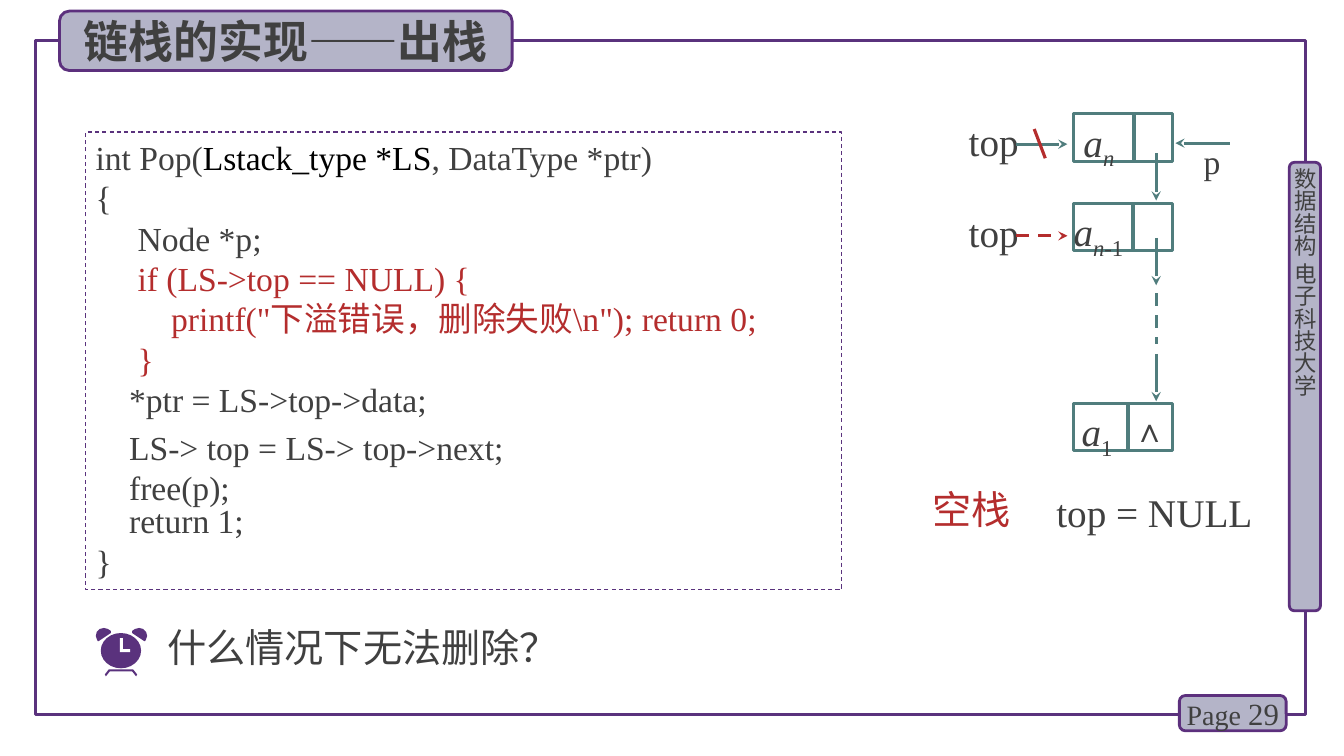
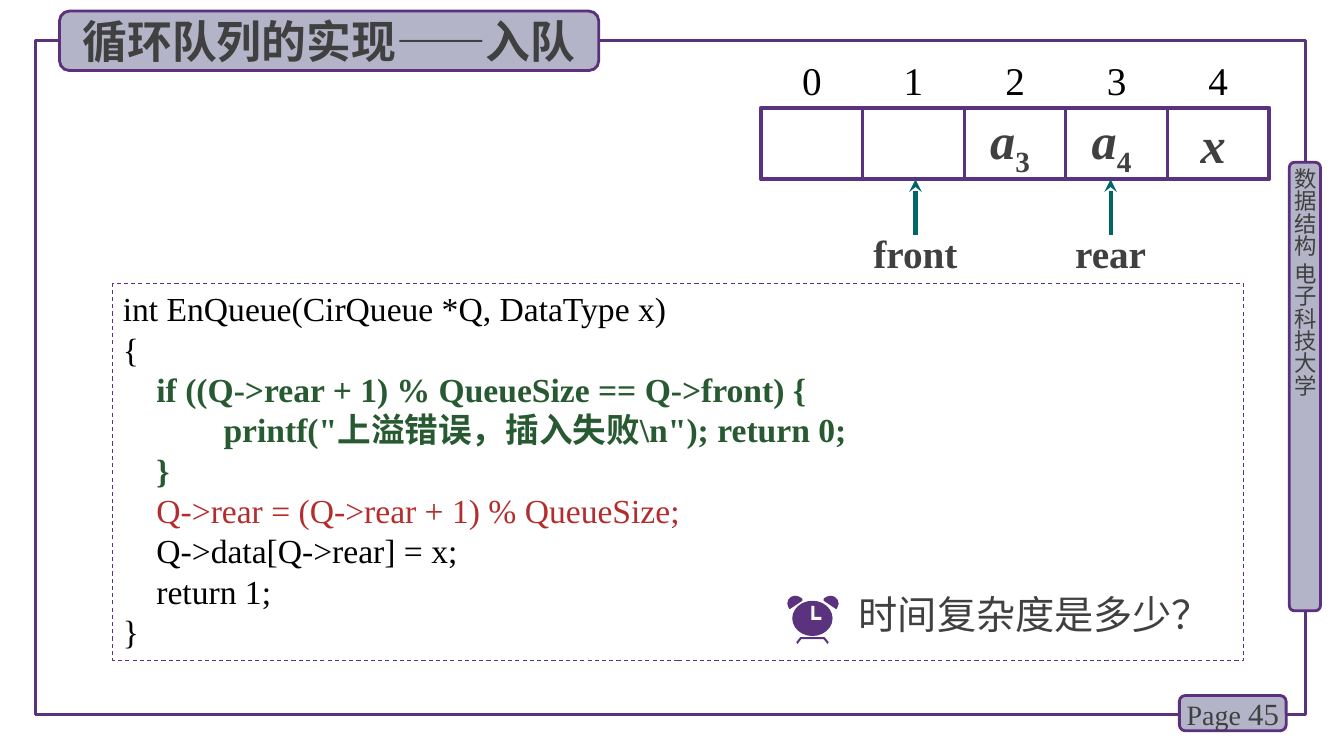
from dataclasses import dataclass

from lxml.etree import SubElement
from pptx import Presentation
from pptx.dml.color import RGBColor
from pptx.enum.dml import MSO_LINE
from pptx.enum.shapes import MSO_CONNECTOR, MSO_SHAPE
from pptx.enum.text import MSO_ANCHOR, PP_ALIGN
from pptx.oxml.ns import qn
from pptx.util import Inches, Pt


@dataclass(frozen=True)
class Theme:
    purple: str = "5A327D"
    badge_line: str = "5C307D"
    badge_fill: str = "B4B4C8"
    gray: str = "404040"
    black: str = "000000"
    white: str = "FFFFFF"
    red: str = "B42D2D"
    green: str = "285A32"
    teal: str = "507D7D"
    pointer: str = "006666"
    latin: str = "Times New Roman"
    asian: str = "Noto Sans CJK SC"
    title: int = 32
    value: int = 36
    label: int = 28
    code: int = 24
    number: int = 22
    footer: int = 20
    side: int = 16
    code_pitch: float = 28.8


THEME = Theme()
RED = {"color": THEME.red}
GREEN = {"color": THEME.green, "bold": True}
SUBSCRIPT = {"baseline": -25000}


def grid(units):
    return Inches(units / 10)


@dataclass(frozen=True)
class Box:
    left: float
    top: float
    width: float
    height: float

    def inside(self, left, top, width, height):
        return Box(self.left + left, self.top + top, width, height)

    def point(self, left, top):
        return self.left + left, self.top + top

    def lengths(self):
        return [grid(v) for v in (self.left, self.top, self.width, self.height)]


SLIDE = Box(0, 0, 133.33, 75)


def set_attributes(target, values):
    for name, value in values.items():
        setattr(target, name, value)


def set_outline(line, color, width, dash=None):
    line.color.rgb = RGBColor.from_string(color)
    set_attributes(line, {"width": Pt(width), "dash_style": dash})


def write_runs(paragraph, runs, base):
    for text, changes in runs:
        run = paragraph.add_run()
        run.text = text
        values = {"name": THEME.latin, "color": THEME.gray, **base, **changes}
        color = values.pop("color")
        baseline = values.pop("baseline", None)
        values["size"] = Pt(values["size"])
        run.font.color.rgb = RGBColor.from_string(color)
        set_attributes(run.font, values)
        properties = run.font._element
        SubElement(properties, qn("a:ea")).set("typeface", THEME.asian)
        if baseline:
            properties.set("baseline", str(baseline))


def fill_text(shape, runs, base, align=PP_ALIGN.LEFT, anchor=MSO_ANCHOR.TOP,
              margins=(0, 0), wrap=True):
    frame = shape.text_frame
    set_attributes(frame, {
        "word_wrap": wrap, "vertical_anchor": anchor,
        "margin_left": grid(margins[0]), "margin_top": grid(margins[1]),
        "margin_right": 0, "margin_bottom": 0,
    })
    frame.paragraphs[0].alignment = align
    write_runs(frame.paragraphs[0], runs, base)


def add_label(slide, box, runs, base, align=PP_ALIGN.LEFT, anchor=MSO_ANCHOR.TOP):
    fill_text(slide.shapes.add_textbox(*box.lengths()), runs, base, align, anchor)


def paint(shape, fill=None):
    shape.shadow.inherit = False
    if fill:
        shape.fill.solid()
        shape.fill.fore_color.rgb = RGBColor.from_string(fill)
    else:
        shape.fill.background()


def add_panel(slide, box, color, width, fill=None, kind=MSO_SHAPE.RECTANGLE, dash=None):
    shape = slide.shapes.add_shape(kind, *box.lengths())
    paint(shape, fill)
    set_outline(shape.line, color, width, dash)
    return shape


def add_badge(slide, box):
    return add_panel(slide, box, THEME.badge_line, 2, THEME.badge_fill,
                     MSO_SHAPE.ROUNDED_RECTANGLE)


def add_line(slide, start, end, color, width=2.25, dash=None, arrow=False):
    line = slide.shapes.add_connector(
        MSO_CONNECTOR.STRAIGHT, *[grid(v) for v in (*start, *end)])
    set_outline(line.line, color, width, dash)
    if arrow:
        SubElement(line.line._get_or_add_ln(), qn("a:tailEnd")).set("type", "stealth")
    SubElement(line._element.spPr, qn("a:effectLst"))


def draw_frame(slide, box, title, title_width, page):
    add_panel(slide, box.inside(3.5, 4, 126, 66.9), THEME.purple, 2.25)
    side = add_badge(slide, box.inside(127.9, 16.1, 3.1, 44.5))
    fill_text(side, [("数据结构 电子科技大学", {})], {"size": THEME.side},
              anchor=MSO_ANCHOR.MIDDLE, margins=(0, 0.4))
    side.text_frame._txBody.bodyPr.set("vert", "eaVert")
    centered = {"align": PP_ALIGN.CENTER, "anchor": MSO_ANCHOR.MIDDLE, "wrap": False}
    fill_text(add_badge(slide, box.inside(117, 69, 10.6, 3.5)),
              [("Page ", {}), (page, {"size": THEME.number})],
              {"size": THEME.footer}, **centered)
    fill_text(add_badge(slide, box.inside(5.9, 1.1, title_width, 5.9)),
              [(title, {})], {"size": THEME.title, "bold": True}, **centered)


def draw_code(slide, box, lines, color, line_color, pitches):
    panel = add_panel(slide, box, line_color, 0.75, dash=MSO_LINE.DASH)
    fill_text(panel, [], {}, margins=(1, 0.5))
    frame = panel.text_frame
    for index, runs in enumerate(lines):
        paragraph = frame.add_paragraph() if index else frame.paragraphs[0]
        set_attributes(paragraph, {
            "alignment": PP_ALIGN.LEFT,
            "line_spacing": Pt(pitches.get(index, THEME.code_pitch)),
        })
        write_runs(paragraph, runs, {"size": THEME.code, "color": color})


def add_outline_shape(slide, box, points, color):
    builder = slide.shapes.build_freeform(*points[0], scale=grid(0.1))
    builder.add_line_segments(points[1:], close=True)
    shape = builder.convert_to_shape(grid(box.left), grid(box.top))
    paint(shape, color)
    shape.line.fill.background()


def draw_clock(slide, box):
    ear = [(8, 0), (4, 1), (1, 4), (0, 8), (1, 11), (2, 13), (3, 13),
           (15, 5), (15, 3), (12, 1)]
    legs = [(41, 46), (37, 41), (13, 41), (9, 46), (10, 48), (14, 43), (36, 43), (40, 48)]
    hands = [(24, 10), (27, 10), (27, 21), (34, 21), (34, 24), (24, 24)]
    for points in (ear, [(51 - x, y) for x, y in ear], legs):
        add_outline_shape(slide, box, points, THEME.purple)
    face = slide.shapes.add_shape(MSO_SHAPE.OVAL, *box.inside(0.5, 0.5, 4, 3.5).lengths())
    paint(face, THEME.purple)
    face.line.fill.background()
    add_outline_shape(slide, box, hands, THEME.white)


def draw_question(slide, box, text):
    draw_clock(slide, box)
    add_label(slide, box.inside(7.1, -0.5, box.width - 7.1, 5.7),
              [(text, {})], {"size": THEME.label})


def draw_node(slide, box, divider, subscript, margin):
    fill_text(add_panel(slide, box, THEME.teal, 2.25),
              [("a", {"italic": True}), *subscript], {"size": THEME.label},
              margins=(margin, 0.4), wrap=False)
    add_line(slide, box.point(divider, 0), box.point(divider, box.height), THEME.teal)


def draw_stack(slide, box):
    italic_n = ("n", {"italic": True, **SUBSCRIPT})
    nodes = [
        (0, 6, [italic_n], 1),
        (8.9, 5.9, [italic_n, ("-1", SUBSCRIPT)], 0),
        (28.7, 5.4, [("1", SUBSCRIPT)], 0.8),
    ]
    for top, divider, subscript, margin in nodes:
        draw_node(slide, box.inside(10.4, top, 9.8, 4.7), divider, subscript, margin)
    add_label(slide, box.inside(15.5, 29.3, 4.9, 4), [("∧", {})],
              {"size": THEME.code}, PP_ALIGN.CENTER)
    for top in (3.9, 12.3, 23.8):
        add_line(slide, box.point(18.6, top), box.point(18.6, top + 4.7),
                 THEME.teal, arrow=True)
    add_line(slide, box.point(18.6, 17.8), box.point(18.6, 22.8),
             THEME.teal, dash=MSO_LINE.DASH)
    for top, color, dash in ((0.3, THEME.teal, None), (9.4, THEME.red, MSO_LINE.DASH)):
        add_label(slide, box.inside(0, top, 5.6, 5), [("top", {})], {"size": THEME.label})
        add_line(slide, box.point(4.7, top + 2.7), box.point(9.8, top + 2.7),
                 color, dash=dash, arrow=True)
    add_line(slide, box.point(6.5, 1.5), box.point(7.6, 4.4), THEME.red)
    add_line(slide, box.point(25.9, 2.9), box.point(20.5, 2.9), THEME.teal, arrow=True)
    add_label(slide, box.inside(23.3, 2.7, 2, 4), [("p", {})], {"size": THEME.code})


def draw_empty_rule(slide, box):
    add_label(slide, box.inside(0, 0, 9, 5.7), [("空栈", RED)], {"size": THEME.label})
    add_label(slide, box.inside(12.3, 0.3, box.width - 12.3, 5), [("top = NULL", {})],
              {"size": THEME.label})


def draw_queue(slide, box, values, pointers):
    cell = box.width / len(values)
    add_panel(slide, box, THEME.purple, 3)
    for index, runs in enumerate(values):
        left = index * cell
        add_label(slide, box.inside(left, -5.1, cell, 4.5), [(str(index), {})],
                  {"size": THEME.label, "color": THEME.black}, PP_ALIGN.CENTER)
        if index:
            add_line(slide, box.point(left, 0), box.point(left, box.height), THEME.purple)
        if runs:
            add_label(slide, box.inside(left - 0.5, 0, cell, box.height), runs,
                      {"size": THEME.value, "bold": True},
                      PP_ALIGN.CENTER, MSO_ANCHOR.MIDDLE)
    for index, name in pointers:
        center = (index + 0.5) * cell - 0.4 * (index - 1) + 0.2
        add_line(slide, box.point(center, 12.6), box.point(center, box.height),
                 THEME.pointer, 3, arrow=True)
        add_label(slide, box.inside(center - 6, 12.1, 12, 5), [(name, {})],
                  {"size": THEME.label, "bold": True}, PP_ALIGN.CENTER)


def plain(text, changes=None):
    return [(text, changes or {})]


POP_CODE = [
    [("int Pop(", {}), ("Lstack_type *LS", {"color": THEME.black}),
     (", DataType *ptr)", {})],
    plain("{"),
    plain("     Node *p;"),
    plain("     if (LS->top == NULL) {", RED),
    plain("         printf(\"下溢错误，删除失败\\n\"); return 0;", RED),
    plain("     }", RED),
    plain("    *ptr = LS->top->data;"),
    plain("    LS-> top = LS-> top->next;"),
    plain("    free(p);"),
    plain("    return 1;"),
    plain("}"),
]

ENQUEUE_CODE = [
    plain("int EnQueue(CirQueue *Q, DataType x)"),
    plain("{"),
    plain("    if ((Q->rear + 1) % QueueSize == Q->front) {", GREEN),
    plain("            printf(\"上溢错误，插入失败\\n\"); return 0;", GREEN),
    plain("    }", GREEN),
    plain("    Q->rear = (Q->rear + 1) % QueueSize;", RED),
    plain("    Q->data[Q->rear] = x;"),
    plain("    return 1;"),
    plain("}"),
]


def build_pop_slide(slide):
    draw_frame(slide, SLIDE, "链栈的实现——出栈", 44.9, "29")
    draw_code(slide, SLIDE.inside(8.5, 13.1, 75, 45.4), POP_CODE, THEME.gray,
              THEME.purple, {7: 34.3, 9: 23.5})
    draw_stack(slide, SLIDE.inside(96.1, 11.3, 26, 34))
    draw_empty_rule(slide, SLIDE.inside(92.5, 48.1, 34, 5.7))
    draw_question(slide, SLIDE.inside(9.5, 62.3, 50, 5), "什么情况下无法删除？")


def build_enqueue_slide(slide):
    draw_frame(slide, SLIDE, "循环队列的实现——入队", 53.5, "45")
    draw_code(slide, SLIDE.inside(11.2, 28.1, 112.2, 37.4), ENQUEUE_CODE, THEME.black,
              THEME.purple, {})
    italic = {"italic": True}
    values = [[], [], [("a", italic), ("3", SUBSCRIPT)],
              [("a", italic), ("4", SUBSCRIPT)], [("x", italic)]]
    draw_queue(slide, SLIDE.inside(75.5, 10.7, 50.4, 7.1), values,
               [(1, "front"), (3, "rear")])
    draw_question(slide, SLIDE.inside(78.1, 59.1, 45, 5), "时间复杂度是多少？")


def main():
    presentation = Presentation()
    set_attributes(presentation, {"slide_width": grid(SLIDE.width),
                                  "slide_height": grid(SLIDE.height)})
    for build in (build_pop_slide, build_enqueue_slide):
        build(presentation.slides.add_slide(presentation.slide_layouts[6]))
    presentation.save("out.pptx")


if __name__ == "__main__":
    main()
